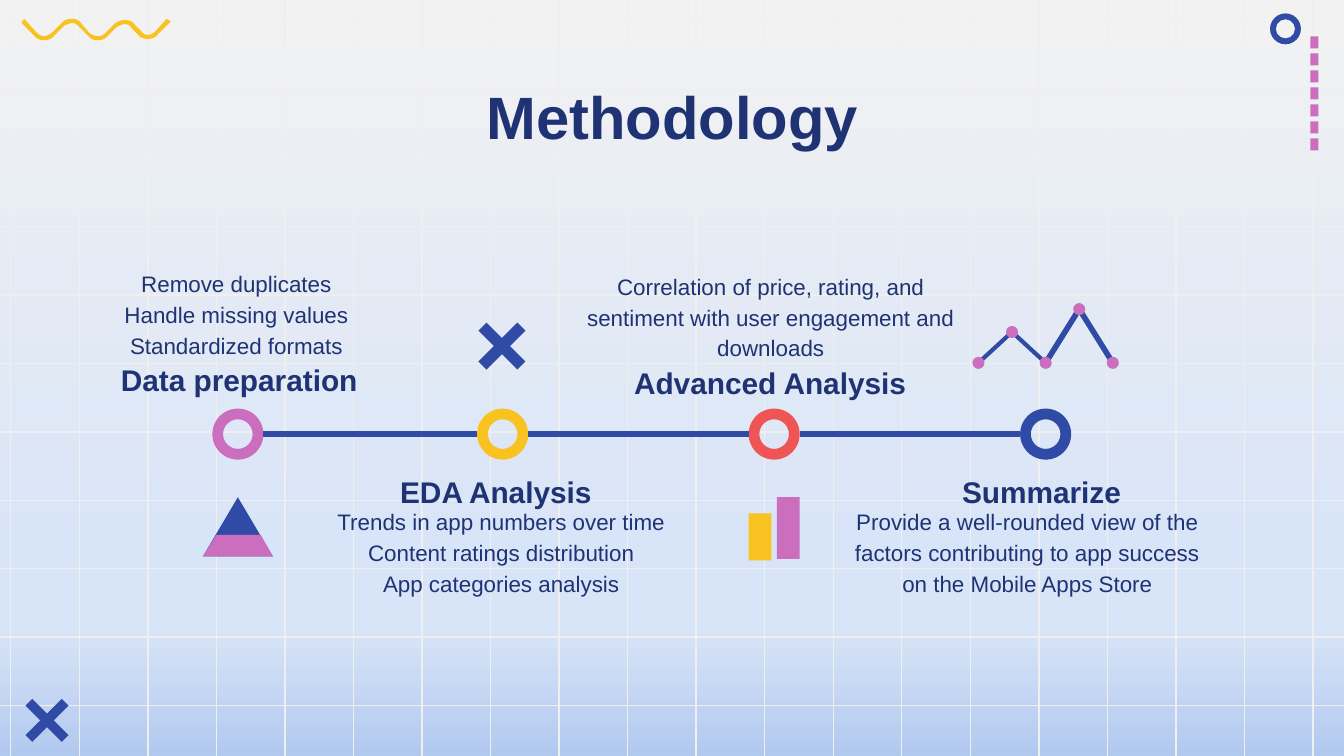
import itertools

import lxml.etree
import pptx
import pptx.util
from pptx.dml.color import RGBColor
from pptx.enum.shapes import MSO_CONNECTOR, MSO_SHAPE
from pptx.enum.text import MSO_ANCHOR, MSO_AUTO_SIZE, PP_ALIGN
from pptx.oxml.ns import qn
from pptx.util import Inches

NAVY = RGBColor(0x1F, 0x33, 0x74)
BLUE = RGBColor(0x30, 0x4B, 0xA6)
PINK = RGBColor(0xCB, 0x6E, 0xBE)
YELLOW = RGBColor(0xF8, 0xC2, 0x20)
RED = RGBColor(0xF0, 0x55, 0x55)
GRID = RGBColor(0xEF, 0xEF, 0xEF)

WIDTH = 10
HEIGHT = WIDTH * 9 / 16
FONT = "Arial"
BACKGROUND_STOPS = [(0, "F2F2F2"), (74, "D8E4F7"), (83, "D8E4F7"), (100, "B2C9EF")]

TITLE = ("Methodology", (0.79, 0.49, 8.43, 0.63))

# heading, heading box, paragraphs, paragraph box, heading anchor
STEPS = [
    ("Data preparation", (0.37, 2.55, 2.82, 0.5),
     ["Remove duplicates", "Handle missing values Standardized formats"],
     (0.78, 1.88, 1.96, 0.86), MSO_ANCHOR.TOP),
    ("EDA Analysis", (2.52, 3.39, 2.34, 0.5),
     ["Trends in app numbers over time", "Content ratings distribution",
      "App categories analysis"],
     (2.39, 3.65, 2.68, 0.83), MSO_ANCHOR.BOTTOM),
    ("Advanced Analysis", (4.54, 2.57, 2.38, 0.49),
     ["Correlation of price, rating, and sentiment with user engagement and downloads"],
     (4.21, 1.9, 3.05, 0.91), MSO_ANCHOR.TOP),
    ("Summarize", (6.58, 3.39, 2.34, 0.5),
     ["Provide a well-rounded view of the factors contributing to app success "
      "on the Mobile Apps Store"],
     (6.21, 3.65, 2.87, 0.82), MSO_ANCHOR.BOTTOM),
]

MILESTONES = [(1.58, PINK), (3.55, YELLOW), (5.57, RED), (7.59, BLUE)]
MILESTONE_TOP, MILESTONE_SIZE = 3.04, 0.38

# Outline of the wave: pairs are corners, sextets are cubic curves
WAVE = [
    (0.18, 0.14), (0.16, 0.17), (0.25, 0.26),
    (0.27, 0.29, 0.3, 0.3, 0.33, 0.3), (0.36, 0.3, 0.38, 0.29, 0.4, 0.27), (0.48, 0.19),
    (0.49, 0.18, 0.52, 0.18, 0.53, 0.17), (0.56, 0.17, 0.57, 0.18, 0.59, 0.2), (0.65, 0.26),
    (0.67, 0.29, 0.7, 0.3, 0.72, 0.3), (0.76, 0.3, 0.78, 0.29, 0.8, 0.27), (0.87, 0.2),
    (0.89, 0.19, 0.91, 0.18, 0.93, 0.18), (0.95, 0.18, 0.97, 0.19, 0.98, 0.21), (1.02, 0.25),
    (1.04, 0.28, 1.07, 0.29, 1.1, 0.29), (1.13, 0.29, 1.16, 0.28, 1.18, 0.25), (1.27, 0.16),
    (1.24, 0.14), (1.16, 0.23),
    (1.14, 0.25, 1.12, 0.26, 1.1, 0.26), (1.08, 0.26, 1.06, 0.25, 1.05, 0.23), (1, 0.18),
    (0.99, 0.16, 0.96, 0.15, 0.93, 0.15), (0.9, 0.15, 0.87, 0.16, 0.85, 0.18), (0.78, 0.25),
    (0.77, 0.26, 0.75, 0.27, 0.73, 0.27), (0.71, 0.27, 0.69, 0.26, 0.67, 0.25), (0.61, 0.18),
    (0.59, 0.15, 0.56, 0.14, 0.54, 0.14), (0.5, 0.14, 0.48, 0.15, 0.46, 0.17), (0.38, 0.25),
    (0.36, 0.26, 0.35, 0.27, 0.33, 0.27), (0.31, 0.27, 0.29, 0.26, 0.27, 0.24),
]

TREND = [(7.28, 2.7), (7.53, 2.47), (7.78, 2.7), (8.03, 2.3), (8.28, 2.7)]
TREND_WIDTHS = [2.25, 2.25, 3, 3]
DOT_SIZE = 0.09

deck = pptx.Presentation()
deck.slide_width, deck.slide_height = Inches(WIDTH), Inches(HEIGHT)
slide = deck.slides.add_slide(deck.slide_layouts[5])


def paint(shape, color):
    shape.shadow.inherit = False
    shape.fill.solid()
    shape.fill.fore_color.rgb = color
    shape.line.fill.background()


def add_preset(kind, box, color):
    shape = slide.shapes.add_shape(kind, *map(Inches, box))
    paint(shape, color)
    return shape


def add_ring(left, top, size, thickness, color):
    ring = add_preset(MSO_SHAPE.DONUT, (left, top, size, size), color)
    ring.adjustments[0] = thickness


def add_polygon(points, color):
    corners = [(Inches(x), Inches(y)) for x, y in points]
    builder = slide.shapes.build_freeform(*corners[0])
    builder.add_line_segments(corners[1:], close=True)
    paint(builder.convert_to_shape(), color)


def add_cross(left, top, size, arm):
    """Two diagonal bars; arm is the offset of each bar's corners."""
    right, bottom = left + size, top + size
    add_polygon([(left + arm, top), (left, top + arm),
                 (right - arm, bottom), (right, bottom - arm)], BLUE)
    add_polygon([(right - arm, top), (left, bottom - arm),
                 (left + arm, bottom), (right, top + arm)], BLUE)


def add_line(start, end, color, width):
    line = slide.shapes.add_connector(MSO_CONNECTOR.STRAIGHT, *map(Inches, start + end))
    line.line.color.rgb = color
    line.line.width = pptx.util.Pt(width)
    lxml.etree.SubElement(line.element.spPr, qn("a:effectLst"))


def flatten(outline, steps=6):
    """Turn corners and cubic curves into a list of points."""
    points = []
    for segment in outline:
        if len(segment) == 2:
            points.append(segment)
            continue
        controls = [points[-1], segment[:2], segment[2:4], segment[4:]]
        for t in (step / steps for step in range(1, steps + 1)):
            weights = ((1 - t) ** 3, 3 * t * (1 - t) ** 2, 3 * t * t * (1 - t), t ** 3)
            points.append(tuple(sum(w * c[axis] for w, c in zip(weights, controls))
                                for axis in (0, 1)))
    return points


def write(shape, paragraphs, size, bold, anchor=MSO_ANCHOR.TOP, spacing=1.15):
    frame = shape.text_frame
    frame.text = "\n".join(paragraphs)
    frame.word_wrap = True
    frame.auto_size = MSO_AUTO_SIZE.NONE
    frame.vertical_anchor = anchor
    frame.margin_left = frame.margin_right = Inches(0.1)
    frame.margin_top = frame.margin_bottom = Inches(0.1)
    for paragraph in frame.paragraphs:
        paragraph.alignment = PP_ALIGN.CENTER
        paragraph.line_spacing = spacing
        for span in paragraph.runs:
            span.font.name = FONT
            span.font.size = pptx.util.Pt(size)
            span.font.bold = bold
            span.font.color.rgb = NAVY


# Background and grid
fill = slide.background.fill
fill.gradient()
fill.gradient_angle = 270
stops = slide.element.find(".//" + qn("a:gsLst"))
for stop in list(stops):
    stops.remove(stop)
for position, color in BACKGROUND_STOPS:
    stop = lxml.etree.SubElement(stops, qn("a:gs"), pos=str(position * 1000))
    lxml.etree.SubElement(stop, qn("a:srgbClr"), val=color)

for row in range(11):
    y = 0.16 + row * (5.25 - 0.16) / 10
    add_line((0, y), (WIDTH, y), GRID, 0.75)
for column in range(20):
    x = 0.08 + column * (9.77 - 0.08) / 19
    add_line((x, 0), (x, HEIGHT), GRID, 0.75)

# Corner decorations
for dash in range(7):
    add_preset(MSO_SHAPE.RECTANGLE, (9.75, 0.27 + dash * 0.76 / 6, 0.06, 0.09), PINK)
add_cross(0.19, 5.2, 0.32, 0.05)
add_polygon(flatten(WAVE), YELLOW)
add_ring(9.45, 0.1, 0.23, 0.19, BLUE)

# Title, brought in front of the grid
title = slide.shapes.title
title.left, title.top, title.width, title.height = map(Inches, TITLE[1])
write(title, [TITLE[0]], 32, True, spacing=1.0)
slide.shapes.element.append(title.element)

# Steps and timeline
for heading, heading_box, paragraphs, paragraph_box, anchor in STEPS:
    box = slide.shapes.add_textbox(*map(Inches, heading_box))
    write(box, [heading], 16, True, anchor)
    box = slide.shapes.add_textbox(*map(Inches, paragraph_box))
    write(box, paragraphs, 12, False)

for left, color in MILESTONES:
    add_ring(left, MILESTONE_TOP, MILESTONE_SIZE, 0.21, color)
middle = MILESTONE_TOP + MILESTONE_SIZE / 2
for (left, _), (right, _) in itertools.pairwise(MILESTONES):
    add_line((left + MILESTONE_SIZE, middle), (right, middle), BLUE, 3)

# Step icons: pyramid, cross, bars, trend line
add_polygon([(1.77, 3.7), (1.51, 4.14), (2.03, 4.14)], BLUE)
add_polygon([(1.61, 3.98), (1.51, 4.14), (2.03, 4.14), (1.94, 3.98)], PINK)
add_cross(3.56, 2.4, 0.35, 0.06)
add_preset(MSO_SHAPE.RECTANGLE, (5.57, 3.82, 0.17, 0.35), YELLOW)
add_preset(MSO_SHAPE.RECTANGLE, (5.78, 3.7, 0.17, 0.46), PINK)
for (start, end), width in zip(itertools.pairwise(TREND), TREND_WIDTHS):
    add_line(start, end, BLUE, width)
for x, y in TREND:
    add_preset(MSO_SHAPE.OVAL, (x - DOT_SIZE / 2, y - DOT_SIZE / 2, DOT_SIZE, DOT_SIZE), PINK)

deck.save("out.pptx")
